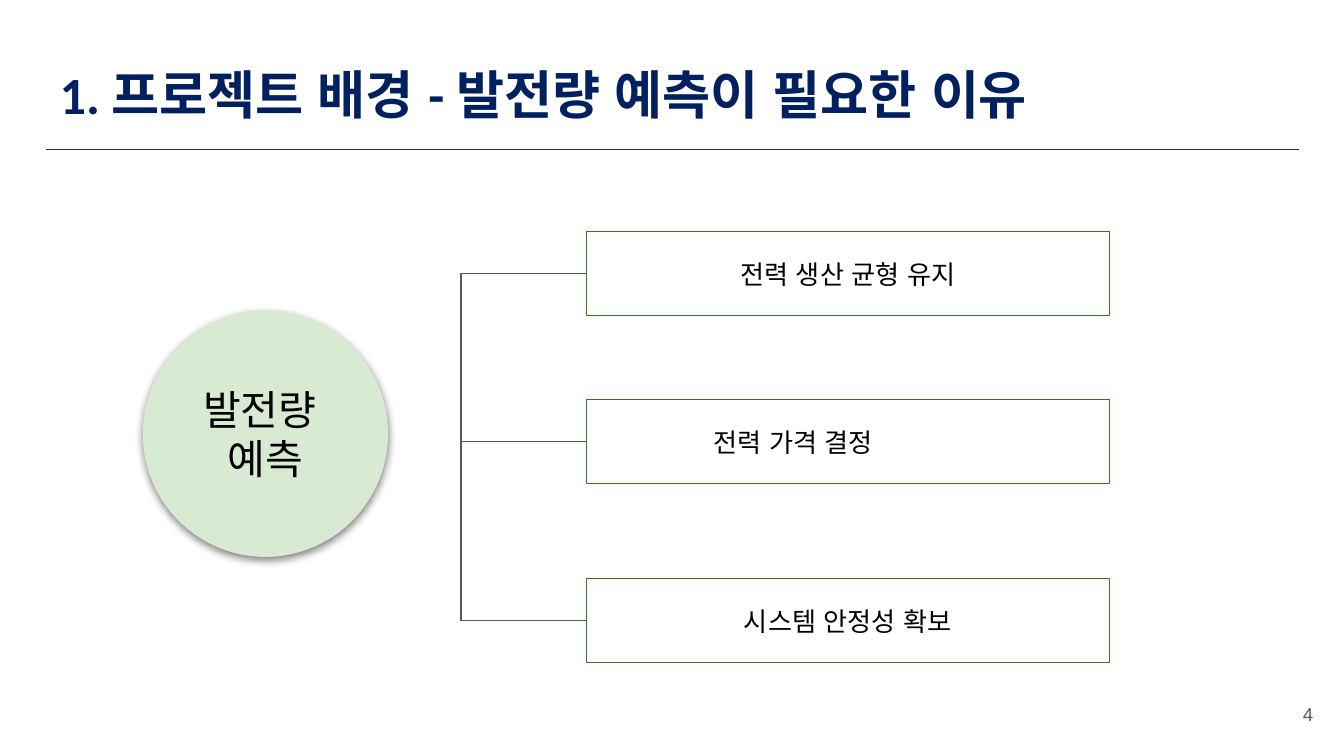
import pptx
import pptx.util
import pptx.dml.color
import pptx.enum.shapes
import pptx.enum.text
import pptx.oxml
import pptx.oxml.ns

RGB = pptx.dml.color.RGBColor
Pt = pptx.util.Pt
Shape = pptx.enum.shapes.MSO_SHAPE
Link = pptx.enum.shapes.MSO_CONNECTOR
Align = pptx.enum.text.PP_ALIGN
Anchor = pptx.enum.text.MSO_ANCHOR
qn = pptx.oxml.ns.qn

SCALE = 5715  # EMU in one px, 160 px to the inch
NAVY = RGB(0x00, 0x20, 0x60)
SLATE = RGB(0x26, 0x2E, 0x42)
GREEN = RGB(0x38, 0x76, 0x1D)
MINT = RGB(0xD9, 0xEA, 0xD3)
GRAY = RGB(0x59, 0x59, 0x59)
WHITE = RGB(0xFF, 0xFF, 0xFF)
BLACK = RGB(0x00, 0x00, 0x00)
KOREAN = "Noto Sans CJK KR"

SHADOW = (
    '<a:outerShdw xmlns:a="http://schemas.openxmlformats.org/drawingml/2006/main"'
    ' blurRad="57150" dist="19050" dir="5400000" algn="bl" rotWithShape="0">'
    '<a:srgbClr val="000000"><a:alpha val="50000"/></a:srgbClr></a:outerShdw>'
)


def px(*nums):
    return [pptx.util.Emu(num * SCALE) for num in nums]


def set_tab(para, stop):
    props = para._p.get_or_add_pPr()
    tabs = props.makeelement(qn("a:tabLst"), {})
    tabs.append(tabs.makeelement(qn("a:tab"), {"pos": str(stop * SCALE), "algn": "l"}))
    props.append(tabs)


def write(shape, lines, size, color, align, anchor=Anchor.MIDDLE, name=KOREAN, bold=False):
    frame = shape.text_frame
    inset = px(16)[0]
    look = {
        "word_wrap": True,
        "auto_size": pptx.enum.text.MSO_AUTO_SIZE.NONE,
        "vertical_anchor": anchor,
        "margin_left": inset,
        "margin_right": inset,
        "margin_top": inset,
        "margin_bottom": inset,
    }
    for key, value in look.items():
        setattr(frame, key, value)
    frame.text = "\n".join(lines)
    for para in frame.paragraphs:
        para.alignment = align
        if "\t" in para.text:
            set_tab(para, 320)
        for run in para.runs:
            font = run.font
            for key, value in {"size": Pt(size), "name": name, "bold": bold}.items():
                setattr(font, key, value)
            font.color.rgb = color
            east = run._r.rPr.makeelement(qn("a:ea"), {"typeface": "Arial"})
            run._r.rPr.find(qn("a:latin")).addnext(east)


def draw_line(slide, start, end, color, kind=Link.STRAIGHT):
    line = slide.shapes.add_connector(kind, *px(*start, *end))
    line.line.color.rgb = color
    line.line.width = Pt(0.75)
    props = line._element.spPr
    props.append(props.makeelement(qn("a:effectLst"), {}))
    return line


def add_head(slide, box, text):
    left, top, width, height = box
    title = slide.shapes.title
    for key, value in zip(("left", "top", "width", "height"), px(*box)):
        setattr(title, key, value)
    write(title, [text], 28, NAVY, Align.LEFT, Anchor.TOP, "Calibri", True)
    rule = top + height + 19
    draw_line(slide, (left, rule), (left + width, rule), SLATE)


def add_topic(slide, box, lines):
    disc = slide.shapes.add_shape(Shape.OVAL, *px(*box))
    disc.shadow.inherit = False
    disc._element.spPr.find(qn("a:effectLst")).append(pptx.oxml.parse_xml(SHADOW))
    disc.fill.solid()
    disc.fill.fore_color.rgb = MINT
    disc.line.fill.background()
    write(disc, lines, 22, BLACK, Align.CENTER)


def add_tree(slide, box, items):
    """Cards at the right of the box, joined to a spine at its left edge."""
    left, top, width, _ = box
    stem, tall = 149, 100
    edge = left + stem
    mids = []
    for drop, text in items:
        card = slide.shapes.add_shape(
            Shape.RECTANGLE, *px(edge, top + drop, width - stem, tall))
        card.shadow.inherit = False
        card.fill.solid()
        card.fill.fore_color.rgb = WHITE
        card.line.color.rgb = GREEN
        card.line.width = Pt(0.75)
        write(card, [text], 14, BLACK, Align.CENTER)
        mids.append(top + drop + tall // 2)
    spine = draw_line(slide, (edge, mids[0]), (left, mids[-1]), GRAY, Link.ELBOW)
    spine._element.spPr.find(qn("a:prstGeom")).set("prst", "bentConnector2")
    for mid in mids[1:]:
        draw_line(slide, (left, mid), (edge, mid), GRAY)


def add_page(slide, box, number):
    note = slide.shapes.add_textbox(*px(*box))
    write(note, [number], 10, GRAY, Align.RIGHT, name="Arial")


def main():
    deck = pptx.Presentation()
    deck.slide_width, deck.slide_height = px(1600, 900)
    slide = deck.slides.add_slide(deck.slide_layouts[5])
    add_head(slide, (55, 58, 1491, 101), "1. 프로젝트 배경 - 발전량 예측이 필요한 이유")
    add_topic(slide, (170, 370, 292, 293), ["발전량 ", "예측"])
    add_tree(slide, (549, 276, 772, 513), [
        (0, "전력 생산 균형 유지"),
        (200, "전력 가격 결정\t"),
        (413, "시스템 안정성 확보"),
    ])
    add_page(slide, (1483, 816, 96, 69), "4")
    deck.save("out.pptx")


if __name__ == "__main__":
    main()
